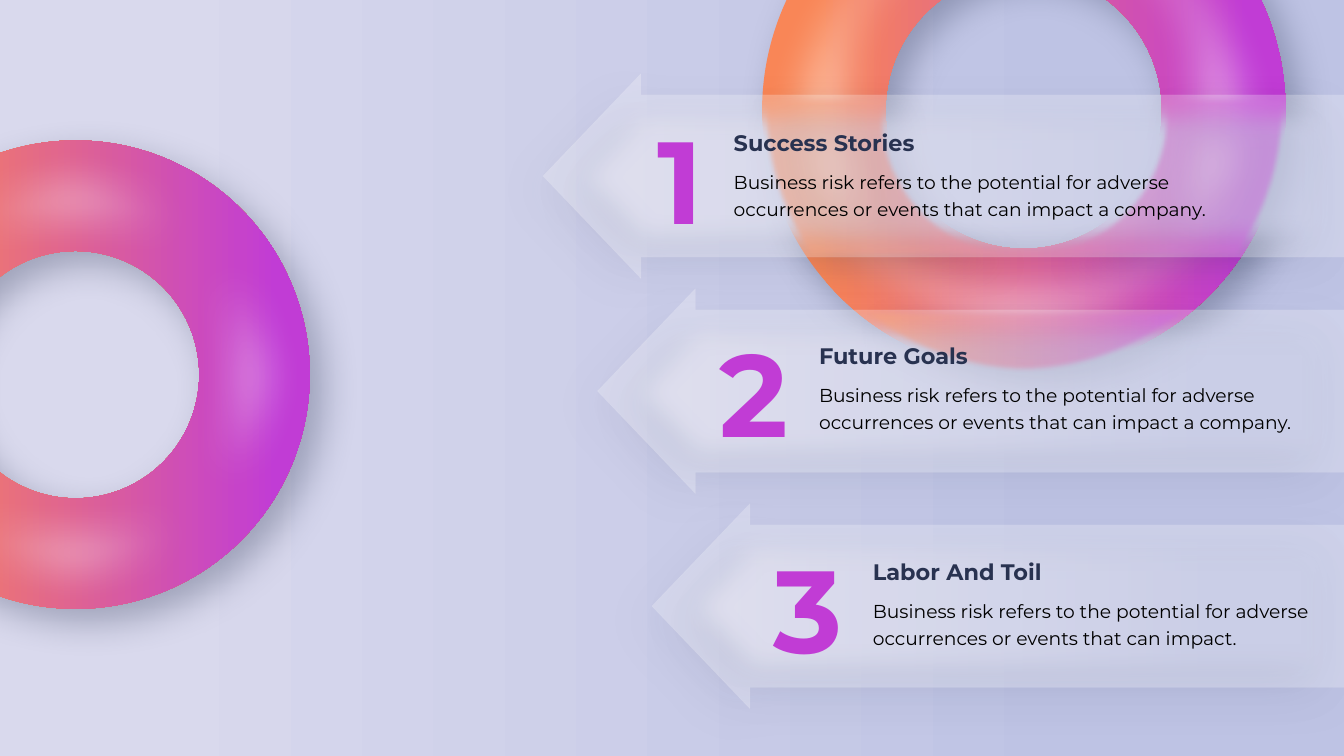
from dataclasses import dataclass
from math import asin, ceil, cos, floor, pi, sin, tan

from pptx import Presentation
from pptx.dml.color import RGBColor as Color
from pptx.enum.shapes import MSO_SHAPE as Preset
from pptx.enum.text import MSO_AUTO_SIZE as AutoSize, PP_ALIGN as Align
from pptx.oxml.ns import qn
from pptx.util import Inches, Pt
from lxml.etree import SubElement


@dataclass(frozen=True)
class Theme:
    font: str = "Montserrat"
    navy: str = "283250"
    black: str = "000000"
    white: str = "FFFFFF"
    purple: str = "C13CD5"
    mist: tuple = ((0.11, "D9D9ED"), (0.80, "BEC3E4"))
    sunset: tuple = ((0.11, "F98657"), (0.93, "C13CD5"))
    heading: int = 24
    body: int = 20
    number: int = 125
    # Shadows: opacity %, blur pt, distance pt, angle
    ring_shadow: tuple = (33, 39, 20, 45)
    arrow_shadow: tuple = (12, 51, 21, 135)


@dataclass(frozen=True)
class Ring:
    x: float
    y: float
    size: float
    band: float

    def arc(self, radius, start, end):
        """Bezier curves along a circle, split at its four extremes."""
        across, down = self.x + self.size / 2, self.y + self.size / 2
        quarter = pi / 2
        low, high = sorted((start, end))
        turns = [n * quarter for n in range(floor(low / quarter) + 1, ceil(high / quarter))]
        stops = [low, *turns, high]
        if start > end:
            stops.reverse()

        def point(angle, reach):
            return (across + radius * (cos(angle) - reach * sin(angle)),
                    down + radius * (sin(angle) + reach * cos(angle)))

        curves = [[point(start, 0)]]
        for a, b in zip(stops, stops[1:]):
            reach = 4 / 3 * tan((b - a) / 4)
            curves.append([point(a, reach), point(b, -reach), point(b, 0)])
        return curves

    def slice(self, top, bottom):
        """Outline of the part of the ring between two heights."""
        radius = self.size / 2
        middle = self.y + radius
        hole = radius * (1 - 2 * self.band)
        upper = asin((top - middle) / radius)
        lower = asin(min(1, (bottom - middle) / radius))
        outline = self.arc(radius, upper, lower) + self.arc(radius, pi - lower, pi - upper)
        if top < middle + hole:
            cut = asin((top - middle) / hole)
            outline += self.arc(hole, pi - cut, cut)
        return outline


class Deck:
    """Places elements on a grid of 20 columns by 11.25 rows."""
    unit = Inches(1)

    def __init__(self, theme):
        self.theme = theme
        self.file = Presentation()
        self.file.slide_width = 20 * self.unit
        self.file.slide_height = int(11.25 * self.unit)
        self.page = self.file.slides.add_slide(self.file.slide_layouts[6])
        self.gradient(self.page.background.fill, theme.mist)

    def grid(self, *lengths):
        return [round(length * self.unit) for length in lengths]

    def group(self):
        return self.page.shapes.add_group_shape().shapes

    def gradient(self, fill, stops):
        fill.gradient()
        fill.gradient_angle = 0
        for stop, (position, color) in zip(fill.gradient_stops, stops):
            stop.position = position
            stop.color.rgb = Color.from_string(color)

    def style(self, shape, fill, opacity=100, shadow=None, soft=0):
        """Give a shape its fill, opacity, shadow and soft edge."""
        shape.line.fill.background()
        shape.shadow.inherit = False
        properties = shape._element.spPr
        if isinstance(fill, str):
            shape.fill.solid()
            shape.fill.fore_color.rgb = Color.from_string(fill)
        else:
            self.gradient(shape.fill, fill)
            properties.find(qn("a:gradFill")).set("rotWithShape", "0")
        if opacity < 100:
            for color in list(properties.iter(qn("a:srgbClr"))):
                SubElement(color, qn("a:alpha"), val=str(opacity * 1000))
        effects = properties.find(qn("a:effectLst"))
        if shadow:
            strength, blur, distance, angle = shadow
            outer = SubElement(effects, qn("a:outerShdw"), blurRad=str(Pt(blur)),
                               dist=str(Pt(distance)), dir=str(angle * 60000),
                               algn="ctr", rotWithShape="0")
            color = SubElement(outer, qn("a:srgbClr"), val=self.theme.navy)
            SubElement(color, qn("a:alpha"), val=str(strength * 1000))
        if soft:
            SubElement(effects, qn("a:softEdge"), rad=str(Pt(soft)))

    def ring(self, shapes, ring, fill, **look):
        shape = shapes.add_shape(Preset.DONUT, *self.grid(ring.x, ring.y, ring.size, ring.size))
        shape.adjustments[0] = ring.band
        self.style(shape, fill, **look)

    def ring_slice(self, shapes, ring, top, bottom, fill, **look):
        first, *rest = ring.slice(top, bottom)
        outline = shapes.build_freeform(*self.grid(*first[0]), scale=1)
        outline.add_line_segments([self.grid(*p) for part in rest for p in part], close=True)
        shape = outline.convert_to_shape()
        # Join each three straight steps of a curve into one Bezier
        steps = iter(list(shape._element.iter(qn("a:lnTo"))))
        for part in rest:
            step, *more = [next(steps) for _ in part]
            if more:
                step.tag = qn("a:cubicBezTo")
                for other in more:
                    step.append(other[0])
                    other.getparent().remove(other)
        self.style(shape, fill, **look)

    def arrow(self, shapes, center, length, fill, edge=False, **look):
        """Arrow pointing left, turned from a down arrow."""
        across, down = center
        width = 3.05
        shape = shapes.add_shape(Preset.DOWN_ARROW, *self.grid(
            across - width / 2, down - length / 2, width, length))
        shape.rotation = 90
        shape.adjustments[0], shape.adjustments[1] = 0.792, 0.478
        self.style(shape, fill, shadow=self.theme.arrow_shadow, **look)
        if edge:
            shape.line.color.rgb = Color.from_string(self.theme.white)
            shape.line.width = Pt(1)
            color = shape.line._ln.find(".//" + qn("a:srgbClr"))
            SubElement(color, qn("a:alpha"), val="5000")

    def text(self, words, place, size, color, bold=False, align=None, leading=None, spacing=None):
        box = self.page.shapes.add_textbox(*self.grid(*place))
        frame = box.text_frame
        frame.word_wrap = True
        frame.auto_size = AutoSize.SHAPE_TO_FIT_TEXT
        para = frame.paragraphs[0]
        span = para.add_run()
        span.text = words
        para.alignment = align
        para.line_spacing = leading
        para.font.name = self.theme.font
        para.font.size = Pt(size)
        para.font.bold = bold
        para.font.color.rgb = Color.from_string(color)
        if spacing:
            span.font._element.set("spc", str(spacing * 100))


def main():
    theme = Theme()
    deck = Deck(theme)

    # Rings, each with a soft highlight
    top_ring, top_shine = Ring(11.34, -2.25, 7.79, 0.236), Ring(11.28, -2.25, 7.83, 0.24)
    left_ring, left_shine = Ring(-2.36, 2.09, 6.97, 0.236), Ring(-2.41, 2.09, 7.01, 0.24)
    for ring, shine in ((top_ring, top_shine), (left_ring, left_shine)):
        shapes = deck.group()
        deck.ring(shapes, ring, theme.sunset, shadow=theme.ring_shadow)
        deck.ring(shapes, shine, theme.white, opacity=47, soft=45)

    # Arrows, with the ring showing through the first two
    slices = {0: (1.42, 3.83), 1: (4.61, top_ring.y + top_ring.size)}
    for row in (2, 0, 1):
        length = 11.92 - 0.81 * row
        across, down = 20.02 - length / 2, 2.64 + 3.2 * row
        shapes = deck.group()
        deck.arrow(shapes, (across, down), length, theme.mist, soft=25)
        if row in slices:
            deck.ring_slice(shapes, top_ring, *slices[row], theme.sunset, opacity=56,
                            shadow=theme.ring_shadow, soft=5)
        if row == 0:
            deck.ring_slice(shapes, top_shine, *slices[row], theme.white, opacity=47, soft=45)
        deck.arrow(shapes, (across - 0.02, down - 0.02), length, theme.white,
                   edge=True, opacity=25)

    # Numbered texts
    risk = "Business risk refers to the potential for adverse occurrences or events that can impact"
    items = (("Success Stories", f"{risk} a company.", 10.82, 1.87, 8.14),
             ("Future Goals", f"{risk} a company.", 12.09, 5.04, 8.14),
             ("Labor And Toil", f"{risk}.", 12.89, 8.25, 6.93))
    for number, (heading, body, left, top, width) in enumerate(items, 1):
        deck.text(heading, (left, top, 4.49, 0.5), theme.heading, theme.navy, bold=True)
        deck.text(body, (left, top + 0.56, width, 0.91), theme.body, theme.black, leading=1.2)
        deck.text(str(number), (left - 1.89, top - 0.31, 1.63, 2.2), theme.number,
                  theme.purple, bold=True, align=Align.RIGHT, spacing=-3)

    deck.file.save("out.pptx")


if __name__ == "__main__":
    main()
